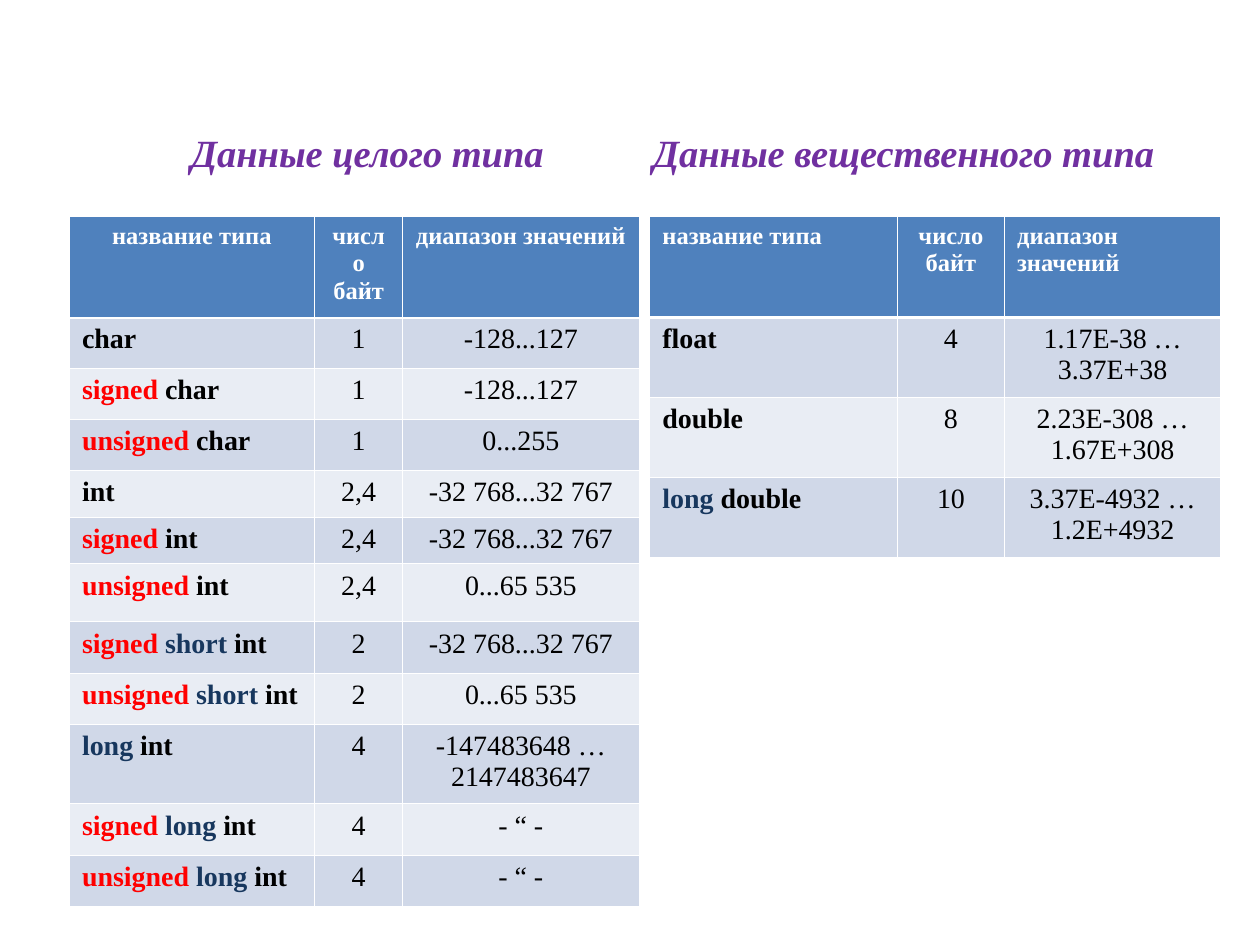
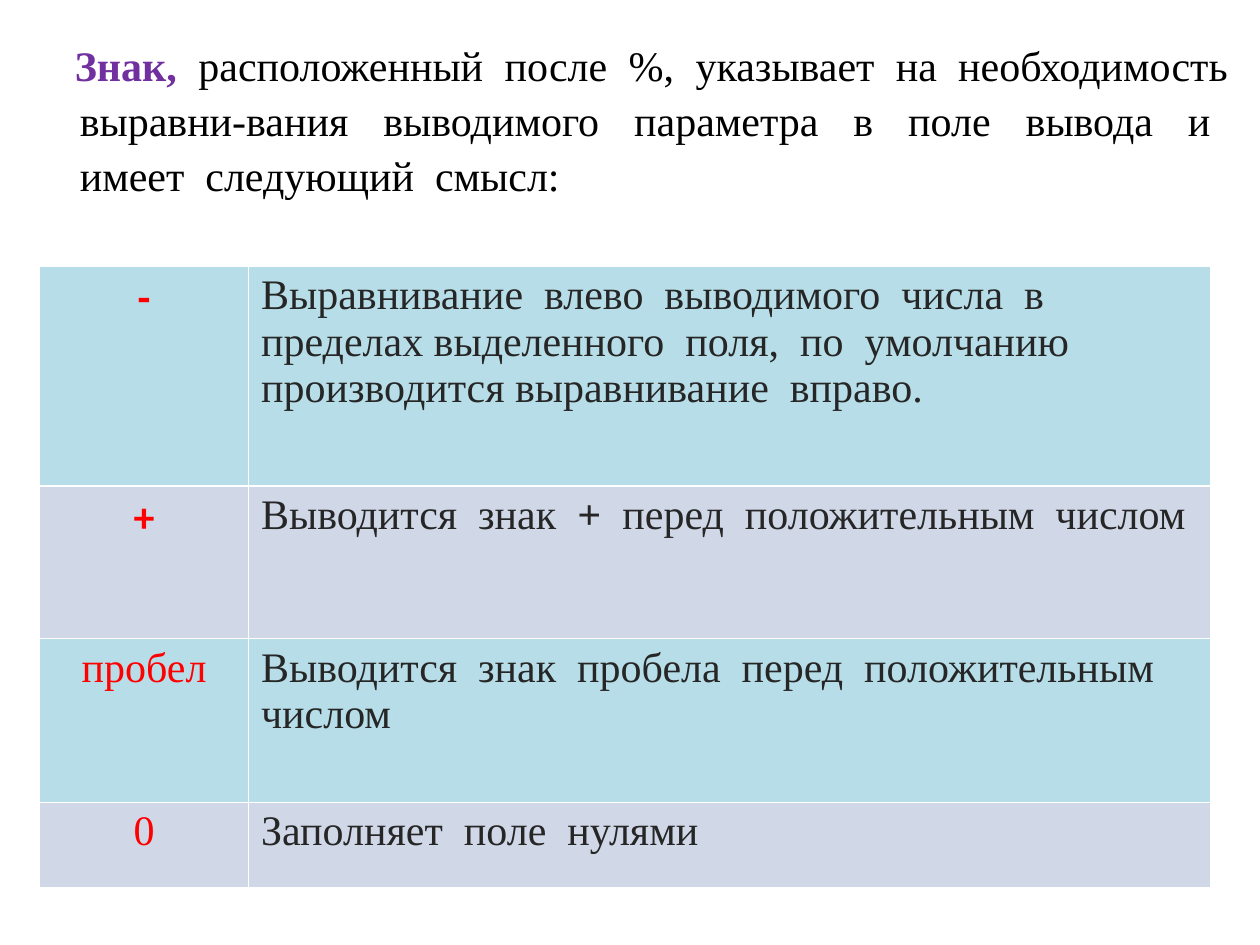
from lxml.etree import SubElement
from pptx import Presentation
from pptx.dml.color import RGBColor
from pptx.enum.text import PP_ALIGN
from pptx.oxml.ns import qn
from pptx.util import Cm, Pt

PURPLE = RGBColor(0x70, 0x30, 0xA0)
WHITE = RGBColor(0xFF, 0xFF, 0xFF)
BLACK = RGBColor(0, 0, 0)
RED = RGBColor(0xFF, 0, 0)
NAVY = RGBColor(0x17, 0x37, 0x5E)
GREY = RGBColor(0x26, 0x26, 0x26)
BLUE = RGBColor(0x4F, 0x81, 0xBD)
MIST = RGBColor(0xD0, 0xD8, 0xE8)
PALE = RGBColor(0xE9, 0xED, 0xF4)
AQUA = RGBColor(0xB7, 0xDE, 0xE8)

SERIF = "Times New Roman"
LEFT, MID, FULL = PP_ALIGN.LEFT, PP_ALIGN.CENTER, PP_ALIGN.JUSTIFY
THIN, THICK = Pt(0.45), Pt(1.47)
WORDS = {"signed": RED, "unsigned": RED, "short": NAVY, "long": NAVY}


def put(frame, runs, size, align=LEFT, face=SERIF):
    par = frame.paragraphs[0]
    par.alignment = align
    par.font.size = Pt(size)
    par.font.name = face
    for text, color, bold in runs:
        run = par.add_run()
        run.text = text
        font = par.font if len(runs) == 1 else run.font
        font.color.rgb = color
        font.bold = bold
    return par


def grid(slide, left, top, cols, rows, fills):
    shape = slide.shapes.add_table(
        len(rows), len(cols), Cm(left), Cm(top), Cm(sum(cols)), Cm(sum(rows)))
    table = shape.table
    table.first_row = table.horz_banding = False
    for col, width in zip(table.columns, cols):
        col.width = Cm(width)
    for i, (row, height) in enumerate(zip(table.rows, rows)):
        row.height = Cm(height)
        for cell in row.cells:
            props = cell._tc.get_or_add_tcPr()
            for side in ("lnL", "lnR", "lnT", "lnB"):
                heavy = (i, side) in ((0, "lnB"), (1, "lnT"))
                line = SubElement(props, qn("a:" + side), w=str(THICK if heavy else THIN))
                fill = SubElement(line, qn("a:solidFill"))
                SubElement(fill, qn("a:srgbClr"), val=str(WHITE))
            cell.fill.solid()
            cell.fill.fore_color.rgb = fills[i]
    return table


deck = Presentation()
deck.slide_width, deck.slide_height = Cm(25.4), Cm(19.05)
blank = deck.slide_layouts[6]

types = deck.slides.add_slide(blank)
whole = [
    ("char", "1", "-128...127"),
    ("signed char", "1", "-128...127"),
    ("unsigned char", "1", "0...255"),
    ("int", "2,4", "-32 768...32 767"),
    ("signed int", "2,4", "-32 768...32 767"),
    ("unsigned int", "2,4", "0...65 535"),
    ("signed short int", "2", "-32 768...32 767"),
    ("unsigned short int", "2", "0...65 535"),
    ("long int", "4", "-147483648 … 2147483647"),
    ("signed long int", "4", "- “ -"),
    ("unsigned long int", "4", "- “ -"),
]
real = [
    ("float", "4", "1.17E-38 … 3.37E+38"),
    ("double", "8", "2.23E-308 … 1.67E+308"),
    ("long double", "10", "3.37E-4932 … 1.2E+4932"),
]
heads = ("название типа", "число байт", "диапазон значений")
parts = [
    ("Данные целого типа", (1.4, 12.01, 16.08), 1.4, (4.94, 1.78, 4.76), MID, whole,
     (1.02, 1.03, 1.03, 0.94, 0.94, 1.17, 1.03, 1.03, 1.61, 1.03, 1.03)),
    ("Данные вещественного типа", (12.6, 11.23, 7.54), 13.1, (4.99, 2.16, 4.36), LEFT, real,
     (1.61,) * 3),
]
for title, (x, width, height), left, cols, edge, data, rows in parts:
    box = types.shapes.add_textbox(Cm(x), Cm(2.39), Cm(width), Cm(height))
    box.text_frame.word_wrap = True
    par = put(box.text_frame, [(title, PURPLE, True)], 22, MID)
    par.font.italic = True
    par.line_spacing = 1.09
    fills = [BLUE] + [(MIST, PALE)[i % 2] for i in range(len(data))]
    table = grid(types, left, 4.37, cols, (2.03, *rows), fills)
    for j, (head, align) in enumerate(zip(heads, (edge, MID, edge))):
        put(table.cell(0, j).text_frame, [(head, WHITE, True)], 14, align)
    for i, (name, count, span) in enumerate(data, 1):
        words = name.split()
        runs = [(word + " ", WORDS[word], True) for word in words[:-1]]
        put(table.cell(i, 0).text_frame, runs + [(words[-1], BLACK, True)], 16)
        for j, text in enumerate((count, span), 1):
            put(table.cell(i, j).text_frame, [(text, BLACK, False)], 16, MID)

signs = deck.slides.add_slide(blank)
box = signs.shapes.add_textbox(Cm(0.41), Cm(0.58), Cm(24.61), Cm(17.86))
box.text_frame.word_wrap = True
par = put(box.text_frame, [
    ("Знак,  ", PURPLE, True),
    ("расположенный  после  %,  указывает  на  необходимость выравни-вания  выводимого  "
     "параметра  в  поле  вывода  и  имеет  следующий  смысл:", BLACK, False),
], 24, FULL)
par.line_spacing = 1.09
props = par._p.get_or_add_pPr()
props.set("marL", str(Cm(0.95)))
props.set("indent", str(Cm(-0.1)))

flags = [
    ("-", "Calibri", True, [
        ("Выравнивание  влево  выводимого  числа  в  пределах выделенного  поля,  "
         "по  умолчанию  производится выравнивание  вправо.", GREY, False)]),
    ("+", "Calibri", True, [
        ("Выводится  знак  ", GREY, False), ("+  ", GREY, True),
        ("перед  положительным  числом", GREY, False)]),
    ("пробел", SERIF, False, [
        ("Выводится  знак  пробела  перед  положительным  числом", GREY, False)]),
    ("0", SERIF, False, [("Заполняет  поле  нулями", GREY, False)]),
]
table = grid(signs, 0.8, 5.36, (4.21, 19.4), (4.44, 3.07, 3.3, 1.71), (AQUA, MIST) * 2)
for i, (sign, face, bold, runs) in enumerate(flags):
    put(table.cell(i, 0).text_frame, [(sign, RED, bold)], 24, MID, face)
    put(table.cell(i, 1).text_frame, runs, 24)

deck.save("out.pptx")
